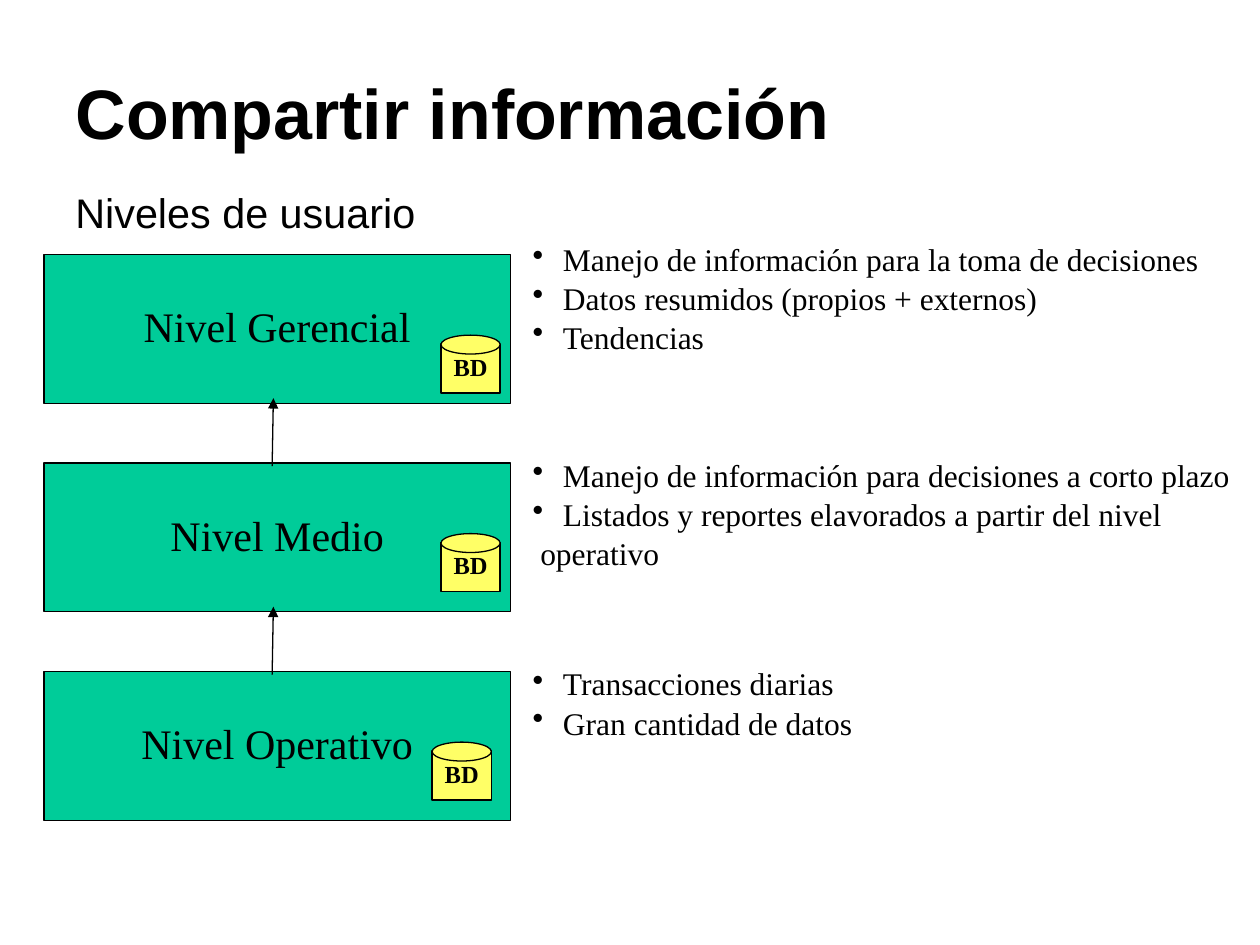
from lxml import etree
from pptx import Presentation, util as u
from pptx.dml.color import RGBColor
from pptx.enum import shapes, text
from pptx.oxml import ns

# Grid: 100 columns by 75 rows over the slide
WIDTH, HEIGHT = u.Inches(10), u.Inches(7.5)
COL, ROW = WIDTH / 100, HEIGHT / 75

SANS, SERIF = "Arial", "Times New Roman"
BLACK, GREEN, YELLOW = "000000", "00CC99", "FFFF66"
LINE_WIDTH = u.Pt(0.75)

LEVEL_LEFT, LEVEL_TOP, LEVEL_WIDTH, LEVEL_HEIGHT = 3.5, 20.2, 37, 11.8
LEVEL_STEP = 16.55

# Name, database offset, notes offset and height, notes (True for a bullet)
LEVELS = [
    ("Nivel Gerencial", (31.5, 6.4), -1.4, 9.9, [
        ("Manejo de información para la toma de decisiones", True),
        ("Datos resumidos (propios + externos)", True),
        ("Tendencias", True)]),
    ("Nivel Medio", (31.5, 5.6), -0.8, 9.9, [
        ("Manejo de información para decisiones a corto plazo", True),
        ("Listados y reportes elavorados a partir del nivel", True),
        ("operativo", False)]),
    ("Nivel Operativo", (30.8, 5.6), -0.8, 6.9, [
        ("Transacciones diarias", True),
        ("Gran cantidad de datos", True)]),
]


def color(value):
    return RGBColor.from_string(value)


def place(box):
    left, top, width, height = box
    return (round(left * COL), round(top * ROW),
            round(width * COL), round(height * ROW))


def style(para, font, size, spacing, bold=False, align=text.PP_ALIGN.LEFT):
    para.alignment = align
    para.line_spacing = spacing
    para.space_before = u.Pt(0)
    for span in para.runs:
        span.font.name = font
        span.font.size = u.Pt(size)
        span.font.bold = bold
        span.font.color.rgb = color(BLACK)


def indent(para, margin, bullet):
    props = para._p.get_or_add_pPr()
    width = round(margin * COL)
    props.set("marL", str(width))
    props.set("indent", str(-width if bullet else 0))
    if bullet:
        etree.SubElement(props, ns.qn("a:buChar")).set("char", "•")
    else:
        etree.SubElement(props, ns.qn("a:buNone"))


def add_text(page, box):
    frame = page.shapes.add_textbox(*place(box)).text_frame
    frame.word_wrap = True
    return frame


def add_block(page, kind, box, fill):
    block = page.shapes.add_shape(kind, *place(box))
    block.shadow.inherit = False
    block.fill.solid()
    block.fill.fore_color.rgb = color(fill)
    block.line.color.rgb = color(BLACK)
    block.line.width = LINE_WIDTH
    return block


def add_label(block, words, size, bold=False):
    frame = block.text_frame
    frame.word_wrap = False
    frame.vertical_anchor = text.MSO_ANCHOR.MIDDLE
    frame.text = words
    style(frame.paragraphs[0], SERIF, size, 0.9, bold, text.PP_ALIGN.CENTER)


def add_heading(page, box):
    left, top, width, height = box
    title = page.shapes.title
    title.left, title.top, title.width, title.height = place(
        (left, top, 71.4, 7.1))
    title.text_frame.text = "Compartir información"
    title.text_frame.vertical_anchor = text.MSO_ANCHOR.MIDDLE
    style(title.text_frame.paragraphs[0], SANS, 40, 0.92, bold=True)

    frame = add_text(page, (left, top + 9, width, height - 9))
    frame.text = "Niveles de usuario"
    style(frame.paragraphs[0], SANS, 23.6, 0.94)


def add_database(page, left, top):
    body = add_block(page, shapes.MSO_SHAPE.RECTANGLE,
                     (left, top + 0.7, 4.7, 3.9), YELLOW)
    add_label(body, "BD", 14, bold=True)
    add_block(page, shapes.MSO_SHAPE.OVAL, (left, top, 4.7, 1.5), YELLOW)


def add_notes(page, box, notes):
    frame = add_text(page, box)
    for index, (words, bullet) in enumerate(notes):
        para = frame.add_paragraph() if index else frame.paragraphs[0]
        para.text = words
        indent(para, 2.4 if bullet else 0.6, bullet)
        style(para, SERIF, 18, 1.02 if index else 0.93)


def add_level(page, box, name, database, notes_offset, notes_height, notes):
    left, top, width, height = box
    block = add_block(page, shapes.MSO_SHAPE.RECTANGLE, box, GREEN)
    add_label(block, name, 24)
    add_database(page, left + database[0], top + database[1])
    add_notes(page, (left + width + 0.8, top + notes_offset,
                     58.7, notes_height), notes)


def add_arrow(page, box):
    """Arrow from the bottom to the top of the box."""
    left, top, width, height = place(box)
    arrow = page.shapes.add_connector(
        shapes.MSO_CONNECTOR.STRAIGHT, left, top + height, left + width, top)
    arrow.line.color.rgb = color(BLACK)
    arrow.line.width = LINE_WIDTH
    etree.SubElement(arrow.line._get_or_add_ln(),
                     ns.qn("a:tailEnd")).set("type", "triangle")
    etree.SubElement(arrow._element.spPr, ns.qn("a:effectLst"))


def main():
    deck = Presentation()
    deck.slide_width, deck.slide_height = WIDTH, HEIGHT
    page = deck.slides.add_slide(deck.slide_layouts.get_by_name("Title Only"))

    # Title and subtitle
    add_heading(page, (5, 5.7, 90, 52.5))

    # User levels with their databases and notes
    tops = [LEVEL_TOP + LEVEL_STEP * index for index in range(len(LEVELS))]
    for top, level in zip(tops, LEVELS):
        add_level(page, (LEVEL_LEFT, top, LEVEL_WIDTH, LEVEL_HEIGHT), *level)

    # Arrows from each level up to the one above
    for top in tops[:-1]:
        add_arrow(page, (21.6, top + LEVEL_HEIGHT - 0.4, 0.1, 5.4))

    deck.save("out.pptx")


if __name__ == "__main__":
    main()
